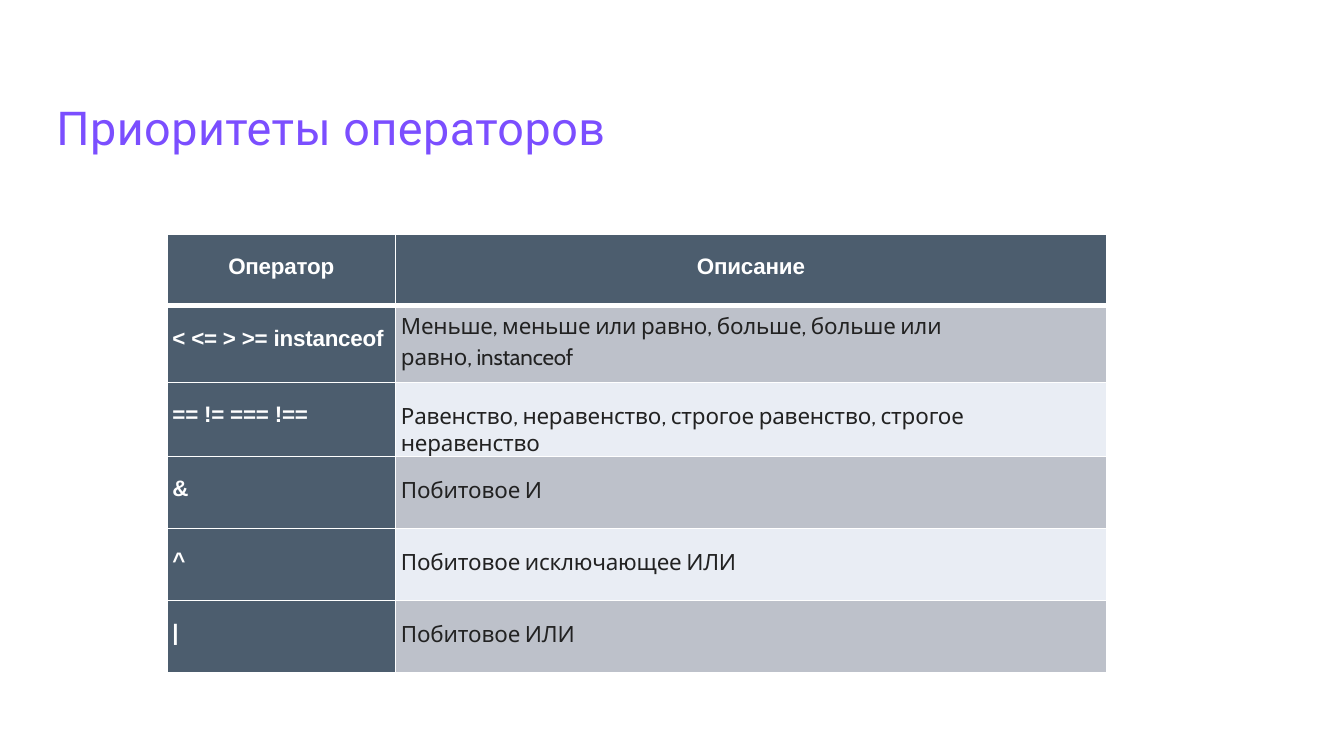
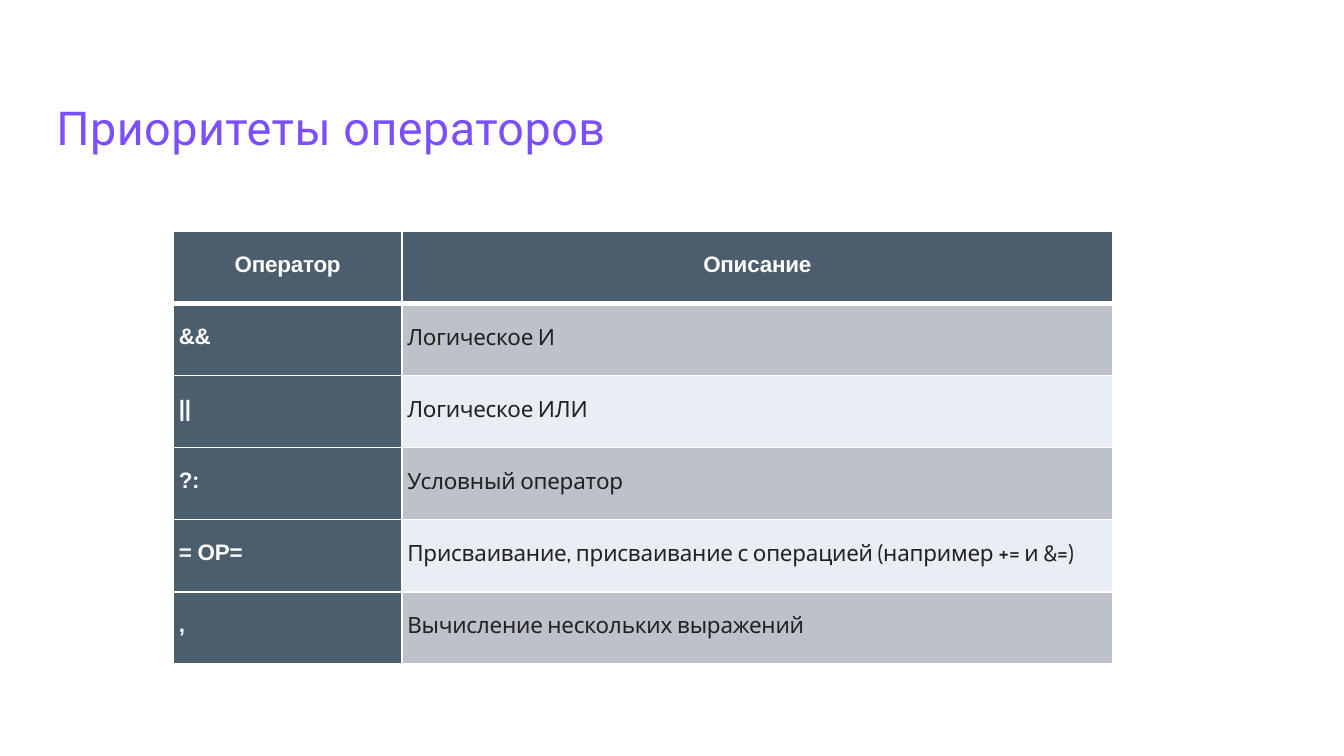
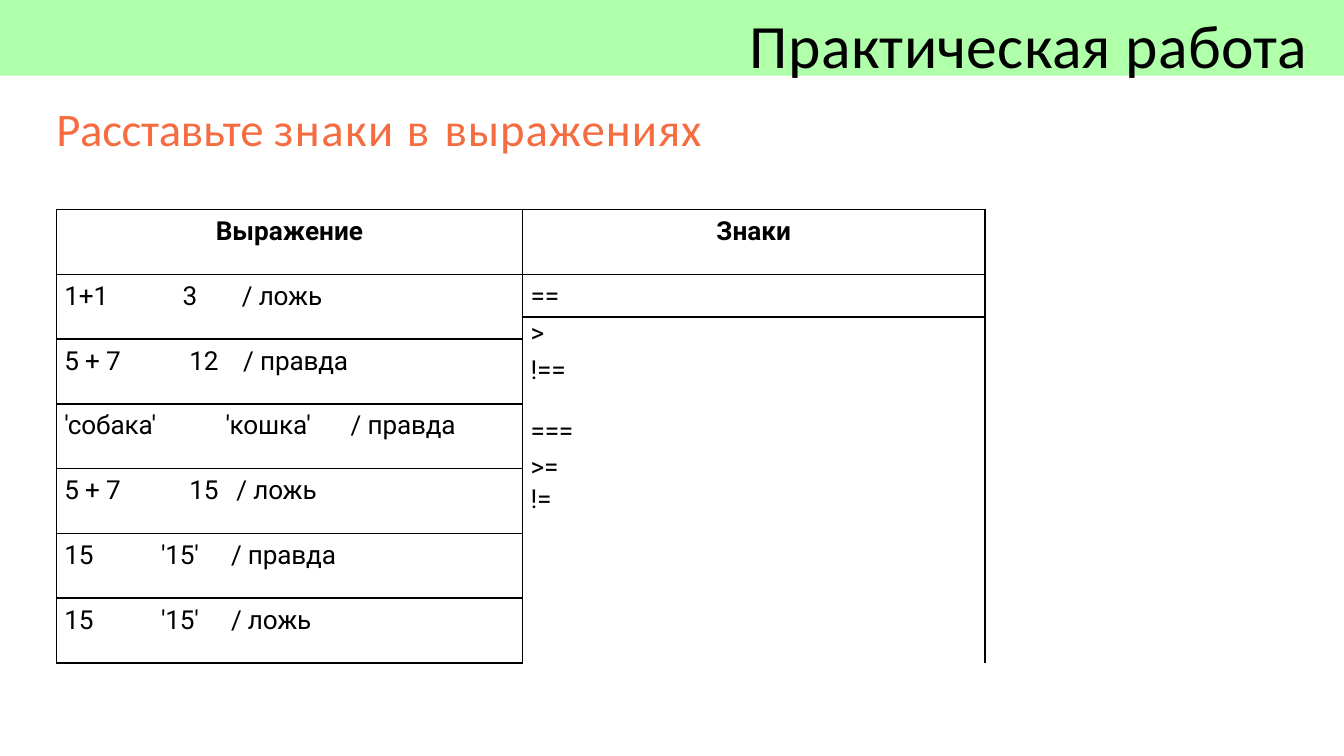
from itertools import product

from lxml import etree
from pptx import Presentation
from pptx.dml.color import RGBColor
from pptx.enum.shapes import MSO_SHAPE
from pptx.enum.text import MSO_ANCHOR, PP_ALIGN
from pptx.oxml.ns import qn
from pptx.util import Pt

RECTANGLE = MSO_SHAPE.RECTANGLE
TOP, MIDDLE = MSO_ANCHOR.TOP, MSO_ANCHOR.MIDDLE
LEFT, CENTER = PP_ALIGN.LEFT, PP_ALIGN.CENTER

COLORS = {
    "violet": "7B4EFF",
    "orange": "F66C41",
    "green": "B0FFAA",
    "slate": "4C5D6E",
    "gray": "BDC1CA",
    "pale": "E9EDF4",
    "ink": "222222",
    "black": "000000",
    "white": "FFFFFF",
}
STYLES = {
    "title": ("Roboto", 25, "violet", False, 0.3),
    "task": ("Calibri", 25, "orange", False, 0.6),
    "banner": ("Calibri", 33, "black", False, 0.2),
    "operator": ("Arial", 12, "white", True, -0.1),
    "description": ("Cabin", 12, "ink", False, -0.1),
    "heading": ("Roboto", 14, "black", True, 0),
    "expression": ("Roboto", 14, "black", False, -0.1),
}
ROW = 38.6
OPERATOR_COLS = [122.4, 380.9]
PRACTICE_COLS = [90, 159.8, 247.7]
PRACTICE_ROWS = [34.7, 22.7, 12, 7.7, 27, 25.4, 9.3, 8.4, 26.3, 34.7, 34.7]


def rgb(name):
    return RGBColor.from_string(COLORS[name])


def track(font, points):
    font._rPr.set("spc", str(round(points * 100)))


class Deck:
    def __init__(self):
        self.prs = Presentation()
        self.prs.slide_width, self.prs.slide_height = Pt(720), Pt(405)
        self.slide = None

    def new_slide(self):
        self.slide = self.prs.slides.add_slide(self.prs.slide_layouts[6])

    def paragraph(self, p, runs, style, align=LEFT, tabs=()):
        if tabs:
            tab_list = etree.SubElement(p._p.get_or_add_pPr(), qn("a:tabLst"))
            for pos in tabs:
                etree.SubElement(tab_list, qn("a:tab"), pos=str(Pt(pos)), algn="l")
        name, size, color, bold, spacing = STYLES[style]
        p.alignment = align
        p.font.name, p.font.size, p.font.bold = name, Pt(size), bold
        p.font.color.rgb = rgb(color)
        track(p.font, spacing)
        for text, own_spacing in runs:
            r = p.add_run()
            r.text = text
            if own_spacing is not None:
                track(r.font, own_spacing)

    def text(self, x, y, w, h, runs, style, anchor=TOP):
        tf = self.slide.shapes.add_textbox(Pt(x), Pt(y), Pt(w), Pt(h)).text_frame
        tf.word_wrap = True
        tf.vertical_anchor = anchor
        tf.margin_left = tf.margin_right = tf.margin_bottom = 0
        tf.margin_top = Pt(1.4)
        self.paragraph(tf.paragraphs[0], runs, style)

    def band(self, h, color):
        sp = self.slide.shapes.add_shape(RECTANGLE, 0, 0, self.prs.slide_width, Pt(h))
        sp.shadow.inherit = False
        sp.fill.solid()
        sp.fill.fore_color.rgb = rgb(color)
        sp.line.fill.background()

    def table(self, x, y, cols, rows):
        frame = self.slide.shapes.add_table(
            len(rows), len(cols), Pt(x), Pt(y), Pt(sum(cols)), Pt(sum(rows)))
        tbl = frame.table
        tbl.first_row = tbl.horz_banding = False
        for col, width in zip(tbl.columns, cols):
            col.width = Pt(width)
        for row, height in zip(tbl.rows, rows):
            row.height = Pt(height)
        return tbl

    def border(self, cell, side, width, color):
        ln = etree.SubElement(cell._tc.get_or_add_tcPr(), qn(f"a:ln{side}"))
        if not width:
            etree.SubElement(ln, qn("a:noFill"))
            return
        ln.set("w", str(Pt(width)))
        fill = etree.SubElement(ln, qn("a:solidFill"))
        etree.SubElement(fill, qn("a:srgbClr"), val=COLORS[color])

    def cell(self, tbl, row, col, text="", style="expression", span=(1, 1), edges=None,
             line="black", fill=None, align=LEFT, left=0, top=3.6, tabs=()):
        edges = edges or {}
        last_row, last_col = row + span[0] - 1, col + span[1] - 1
        for i, j in product(range(row, last_row + 1), range(col, last_col + 1)):
            outer = {"L": j == col, "R": j == last_col, "T": i == row, "B": i == last_row}
            for side, on_edge in outer.items():
                self.border(tbl.cell(i, j), side, on_edge and edges.get(side), line)
        cell = tbl.cell(row, col)
        if span != (1, 1):
            cell.merge(tbl.cell(last_row, last_col))
        if fill:
            cell.fill.solid()
            cell.fill.fore_color.rgb = rgb(fill)
        else:
            cell.fill.background()
        cell.margin_left, cell.margin_top = Pt(left), Pt(top)
        cell.margin_right = cell.margin_bottom = 0
        if text:
            self.paragraph(cell.text_frame.paragraphs[0], [(text, None)], style, align, tabs)

    def operators(self, x, y, entries, heights, spacer=None):
        self.text(30.2, 51.8, 654.5, 105.8, [("Приоритеты операторов", None)], "title")
        first = 1 if spacer else 0
        cols, rows = OPERATOR_COLS, heights
        if spacer:
            cols, rows = [spacer[0]] + cols, rows + [spacer[1]]
        tbl = self.table(x, y, cols, rows)
        for i, pair in enumerate([("Оператор", "Описание")] + entries):
            edges = {"L": 1, "R": 1, "T": 3 if i == 1 else 1, "B": 1 if i else 3}
            stripe = "gray" if i % 2 else "pale"
            fills = ("slate", stripe if i else "slate")
            styles = ("operator", "description" if i else "operator")
            for j, text in enumerate(pair):
                self.cell(tbl, i, first + j, text, styles[j], edges=edges, line="white",
                          fill=fills[j], align=LEFT if i else CENTER,
                          left=2.9 if i else 0, top=10.8)
        if spacer:
            self.cell(tbl, 0, 0, span=(len(heights), 1))
            self.cell(tbl, len(heights), 0)
            self.cell(tbl, len(heights), 1, span=(1, 2))
        return tbl


def comparison_slide(deck):
    deck.new_slide()
    entries = [
        ("< <= > >= instanceof",
         "Меньше, меньше или равно, больше, больше или равно, instanceof"),
        ("== != === !==", "Равенство, неравенство, строгое равенство, строгое неравенство"),
        ("&", "Побитовое И"),
        ("^", "Побитовое исключающее ИЛИ"),
        ("|", "Побитовое ИЛИ"),
    ]
    tbl = deck.operators(44.9, 125.3, entries, [ROW, 41] + [ROW] * 4, spacer=(44.6, 45.4))
    wrapped = tbl.cell(1, 2)
    wrapped.margin_top, wrapped.margin_right = Pt(1.4), Pt(72)
    wrapped.text_frame.paragraphs[0].line_spacing = 1.15


def logic_slide(deck):
    deck.new_slide()
    entries = [
        ("&&", "Логическое И"),
        ("||", "Логическое ИЛИ"),
        ("?:", "Условный оператор"),
        ("= OP=", "Присваивание, присваивание с операцией (например += и &=)"),
        (",", "Вычисление нескольких выражений"),
    ]
    deck.operators(92.9, 124.1, entries, [ROW] * 6)


def practice_slide(deck):
    deck.new_slide()
    deck.band(40.6, "green")
    task = [("Расставьте ", -0.1), ("знаки ", 0.8), ("в ", 1.3), ("выражениях", 0.6)]
    deck.text(30.2, 51.8, 380.2, 32.4, task, "task", MIDDLE)

    tbl = deck.table(30.2, 112.3, PRACTICE_COLS, PRACTICE_ROWS)
    box = dict.fromkeys("LRTB", 1)
    sides = {"L": 1, "R": 1}
    deck.cell(tbl, 0, 0, "Выражение", "heading", (1, 2), box, align=CENTER)
    deck.cell(tbl, 0, 2, "Знаки", "heading", edges=box, align=CENTER)

    expressions = [
        (1, 2, "1+1\t3", 63.4, "/ ложь", 9.4),
        (3, 2, "5 + 7\t12", 67, "/ правда", 10.1),
        (7, 2, "5 + 7\t15", 67, "/ ложь", 6.5),
        (9, 1, "15\t'15'", 51.8, "/ правда", 3.6),
        (10, 1, "15\t'15'", 51.8, "/ ложь", 3.6),
    ]
    for row, height, expression, tab, answer, indent in expressions:
        deck.cell(tbl, row, 0, expression, span=(height, 1), left=4.3, tabs=[tab],
                  edges={"L": 1, "T": 1, "B": 1})
        deck.cell(tbl, row, 1, answer, span=(height, 1), left=indent,
                  edges={"R": 1, "T": 1, "B": 1})
    deck.cell(tbl, 5, 0, "'собака'\t'кошка'\t/ правда", span=(2, 2), edges=box,
              left=4.3, tabs=[86.4, 153.4])

    signs = [
        (1, 1, "==", 3.6, box),
        (2, 2, ">", 0.7, {**sides, "T": 1}),
        (4, 1, "!==", 0.7, sides),
        (5, 1, "===", 6.5, sides),
        (6, 2, ">=", 0.7, sides),
        (8, 1, "!=", 0, sides),
        (9, 2, "", 0, {**sides, "B": 1}),
    ]
    for row, height, sign, top, edges in signs:
        deck.cell(tbl, row, 2, sign, span=(height, 1), edges=edges, left=4.3, top=top)

    deck.text(401.8, 2.2, 312.5, 41, [("Практическая работа", None)], "banner", MIDDLE)


def main():
    deck = Deck()
    comparison_slide(deck)
    logic_slide(deck)
    practice_slide(deck)
    deck.prs.save("out.pptx")


if __name__ == "__main__":
    main()
